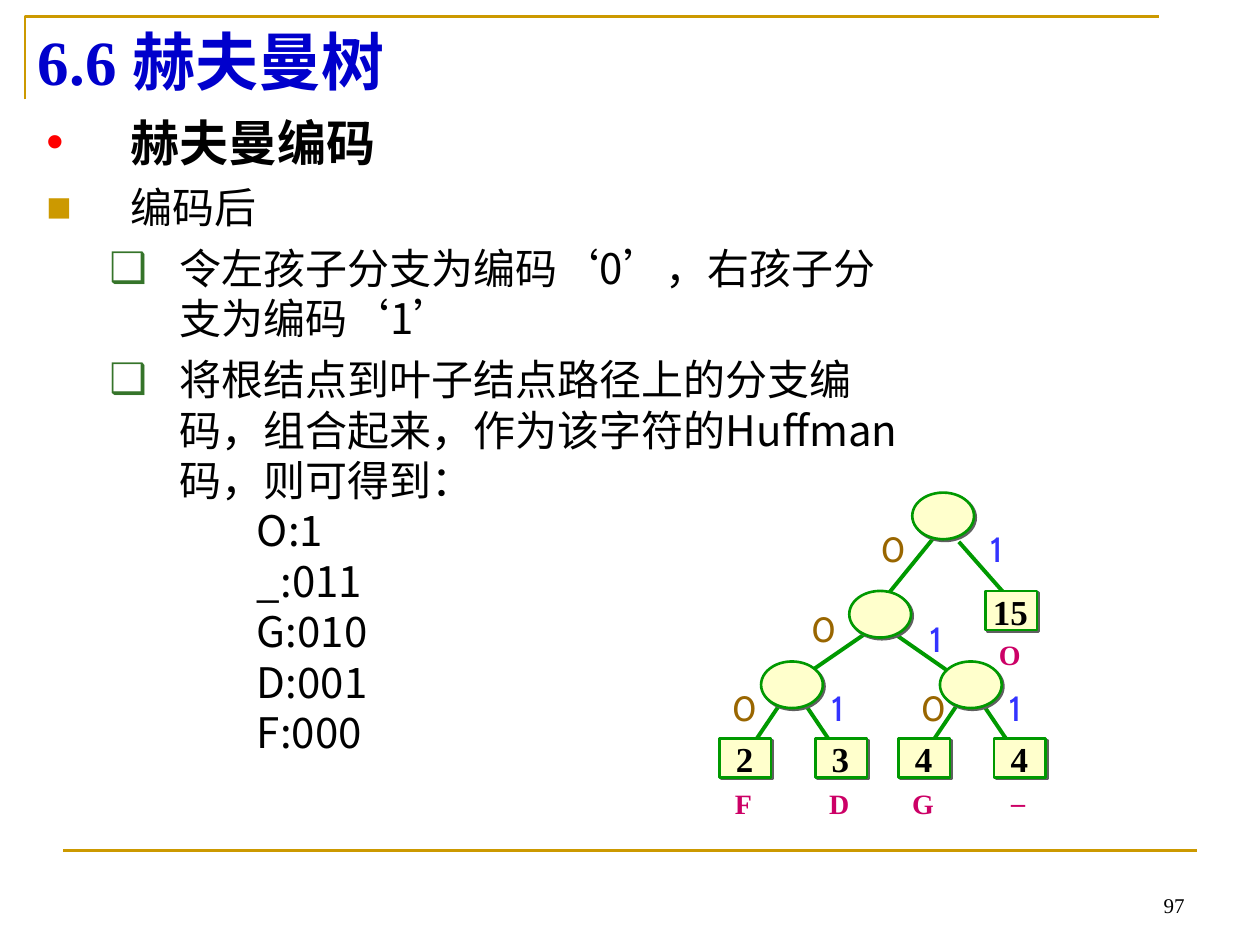
from lxml import etree
from pptx import Presentation
from pptx.dml.color import RGBColor as RGB
from pptx.enum.shapes import MSO_CONNECTOR as LINE, MSO_SHAPE as SHAPE
from pptx.enum.text import MSO_ANCHOR as ANCHOR, MSO_AUTO_SIZE as FIT, PP_ALIGN as ALIGN
from pptx.oxml.ns import qn
from pptx.util import Inches, Pt

INK = {"title": "0000CC", "text": "000000", "gold": "CC9900", "red": "FF0000",
       "box": "35742A", "edge": "009900", "node": "FFFFCC", "shade": "5F5F5F",
       "zero": "996600", "one": "3333FF", "char": "CC0066"}
SERIF, SANS, CODE = "Times New Roman", "Noto Sans CJK SC", "Cabin"


def style(run, size, face, ink, bold=False):
    font = run.font
    font.size, font.name, font.bold = Pt(size), face, bold
    font.color.rgb = RGB.from_string(INK[ink])
    east = etree.SubElement(font._element, qn("a:ea"))
    east.set("typeface", SANS)


def label(words, x, y, w, h, size, face, ink, bold=False, align=ALIGN.CENTER,
          anchor=ANCHOR.MIDDLE, wrap=False):
    box = slide.shapes.add_textbox(Inches(x), Inches(y), Inches(w), Inches(h))
    frame = box.text_frame
    frame.text = words
    frame.word_wrap, frame.vertical_anchor = wrap, anchor
    para = frame.paragraphs[0]
    para.alignment = align
    style(para.runs[0], size, face, ink, bold)


prs = Presentation()
prs.slide_width, prs.slide_height = Inches(10), Inches(7.5)
slide = prs.slides.add_slide(prs.slide_layouts[5])
shapes = slide.shapes

# Frame and page number
path = shapes.build_freeform(Inches(0.2), Inches(0.79))
path.add_line_segments([(Inches(0.2), Inches(0.13)), (Inches(9.2), Inches(0.13))], close=False)
corner = path.convert_to_shape()
corner.shadow.inherit = False
corner.fill.background()
corner.line.color.rgb = RGB.from_string(INK["gold"])
corner.line.width = Pt(1.5)
label("97", 7.17, 6.83, 2.33, 0.5, 12, SERIF, "text",
      align=ALIGN.RIGHT, anchor=ANCHOR.BOTTOM, wrap=True)

# Title
title = shapes.title
title.left, title.top, title.width, title.height = map(Inches, (0.2, 0.13, 9, 0.71))
frame = title.text_frame
frame.text = "6.6 赫夫曼树"
frame.auto_size, frame.vertical_anchor = FIT.NONE, ANCHOR.TOP
frame.paragraphs[0].alignment = ALIGN.LEFT
style(frame.paragraphs[0].runs[0], 36, SERIF, "title", True)

# Body: level, margin, hang, space before, bullet, bullet colour, size, text
items = [
    (0, 0.67, 0.67, 0, "•", "red", 28, "赫夫曼编码"),
    (0, 0.67, 0.67, 6, "■", "gold", 24, "编码后"),
    (1, 1.06, 0.56, 6, "❑", "box", 24, "令左孩子分支为编码|‘|0|’|，右孩子分支为编码|‘|1|’"),
    (1, 1.06, 0.56, 6, "❑", "box", 24,
     "将根结点到叶子结点路径上的分支编码，组合起来，作为该字符的Huffman码，则可得到："),
]
codes = ["O:1", "_:011", "G:010", "D:001", "F:000"]
items += [(0, 1.67, 0, 0, None, None, 24, code) for code in codes]

body = shapes.add_textbox(Inches(0.27), Inches(0.84), Inches(7.01), Inches(5.91))
frame = body.text_frame
frame.word_wrap = True
for i, (level, margin, hang, gap, mark, ink, size, words) in enumerate(items):
    para = frame.paragraphs[0] if i == 0 else frame.add_paragraph()
    para.level, para.line_spacing, para.space_before = level, 1.0, Pt(gap)
    props = para._p.get_or_add_pPr()
    props.set("marL", str(Inches(margin)))
    props.set("indent", str(-Inches(hang)))
    props.set("hangingPunct", "0")
    if mark:
        tint = etree.SubElement(props, qn("a:buClr"))
        etree.SubElement(tint, qn("a:srgbClr")).set("val", INK[ink])
        etree.SubElement(props, qn("a:buFont")).set("typeface", "Arial")
        etree.SubElement(props, qn("a:buChar")).set("char", mark)
    for part in words.split("|"):
        run = para.add_run()
        run.text = part
        style(run, size, "Arial" if part in "‘’" else SANS, "text", size == 28)

# Tree edges, then the rule above the page number
edges = [(7.61, 4.3, 8.06, 4.81), (7.45, 4.22, 7.06, 4.7),
         (7.07, 5.01, 7.53, 5.33), (6.91, 5, 6.43, 5.33)]
for mid in (6.29, 7.7):
    edges += [(mid + side * 0.08, 5.56, mid + side * 0.33, 5.93) for side in (-1, 1)]
lines = [(edge, "edge", 2.25) for edge in edges] + [((0.5, 6.75, 9.5, 6.75), "gold", 1.5)]
for ends, ink, width in lines:
    line = shapes.add_connector(LINE.STRAIGHT, *map(Inches, ends))
    line.line.color.rgb = RGB.from_string(INK[ink])
    line.line.width = Pt(width)
    etree.SubElement(line._element.spPr, qn("a:effectLst"))

# Tree nodes
leaves = [("15", "O", 7.82, 4.69, 0.32), ("2", "F", 5.71, 5.86, 0.33),
          ("3", "D", 6.47, 5.86, 0.33), ("4", "G", 7.13, 5.86, 0.33),
          ("4", "_", 7.89, 5.86, 0.24)]
nodes = [(SHAPE.OVAL, x, y, 0.49, 0.37)
         for x, y in [(7.24, 3.91), (6.74, 4.69), (6.04, 5.25), (7.46, 5.25)]]
nodes += [(SHAPE.RECTANGLE, x, y, 0.41, 0.31) for _, _, x, y, _ in leaves]
for kind, *place in nodes:
    node = shapes.add_shape(kind, *map(Inches, place))
    node.fill.solid()
    node.fill.fore_color.rgb = RGB.from_string(INK["node"])
    node.line.color.rgb = RGB.from_string(INK["edge"])
    node.line.width = Pt(1.5)
    node.shadow.inherit = False
    effects = node._element.spPr.find(qn("a:effectLst"))
    shade = etree.SubElement(effects, qn("a:outerShdw"), dist=str(Pt(1.4)),
                             dir="2700000", algn="ctr", rotWithShape="0")
    etree.SubElement(shade, qn("a:srgbClr")).set("val", INK["shade"])

# Weights and characters of the leaves
for weight, char, x, y, drop in leaves:
    wide = 0.34 if len(weight) == 1 else 0.48
    label(weight, x + 0.2 - wide / 2, y - 0.06, wide, 0.44, 20, SERIF, "text", True)
    label(char, x + 0.01, y + drop, 0.36, 0.37, 16, SERIF, "char", True)

# Branch codes
branches = {
    "zero": ("0", [(6.89, 4.14), (6.34, 4.77), (5.71, 5.4), (7.21, 5.4)]),
    "one": ("1", [(7.76, 4.14), (7.28, 4.85), (6.5, 5.4), (7.91, 5.4)]),
}
for ink, (digit, spots) in branches.items():
    for x, y in spots:
        label(digit, x, y, 0.47, 0.44, 20, CODE, ink,
              align=ALIGN.LEFT, anchor=ANCHOR.TOP, wrap=True)

prs.save("out.pptx")
